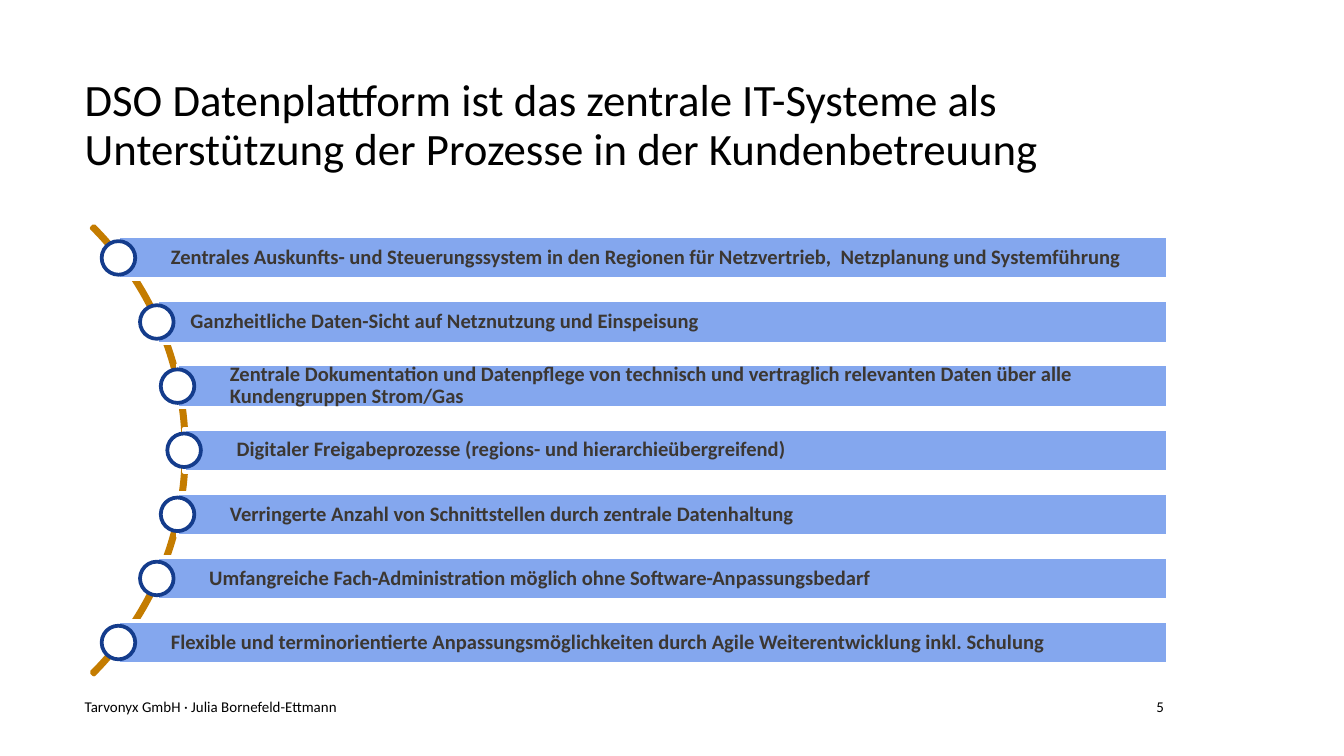
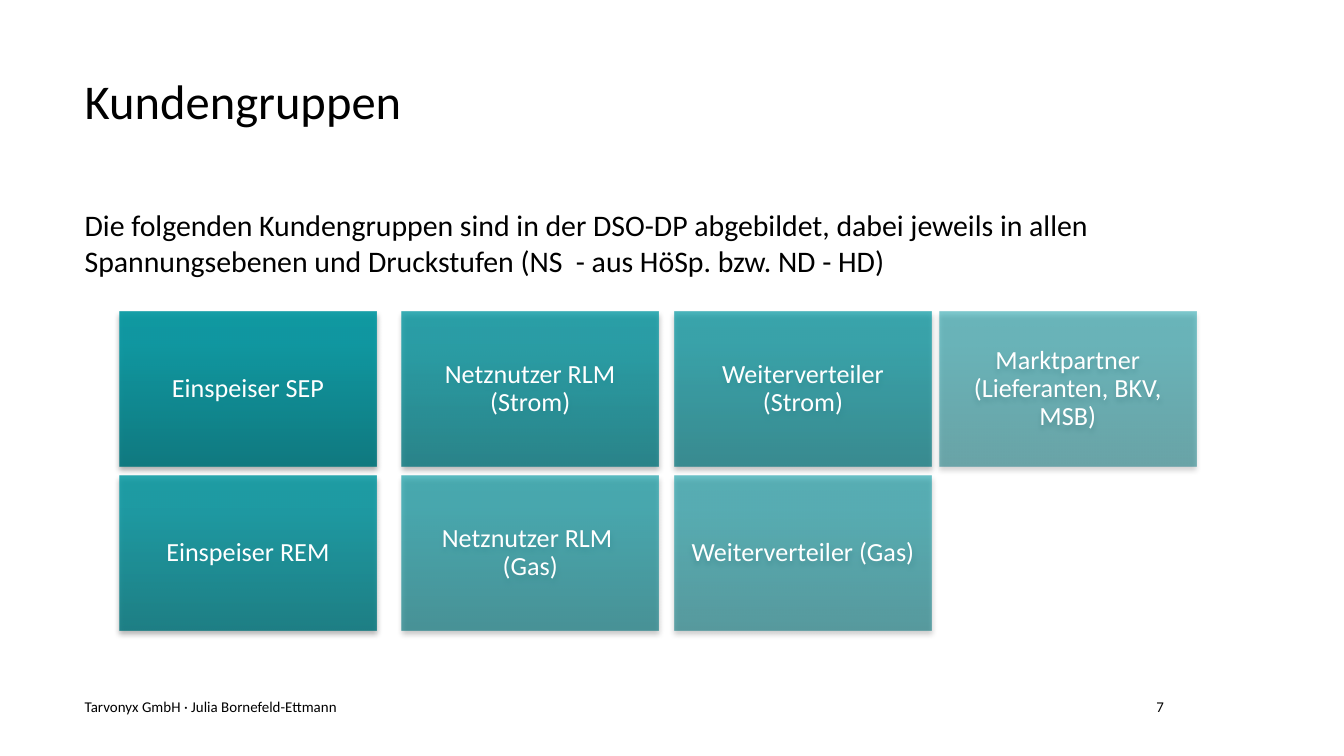
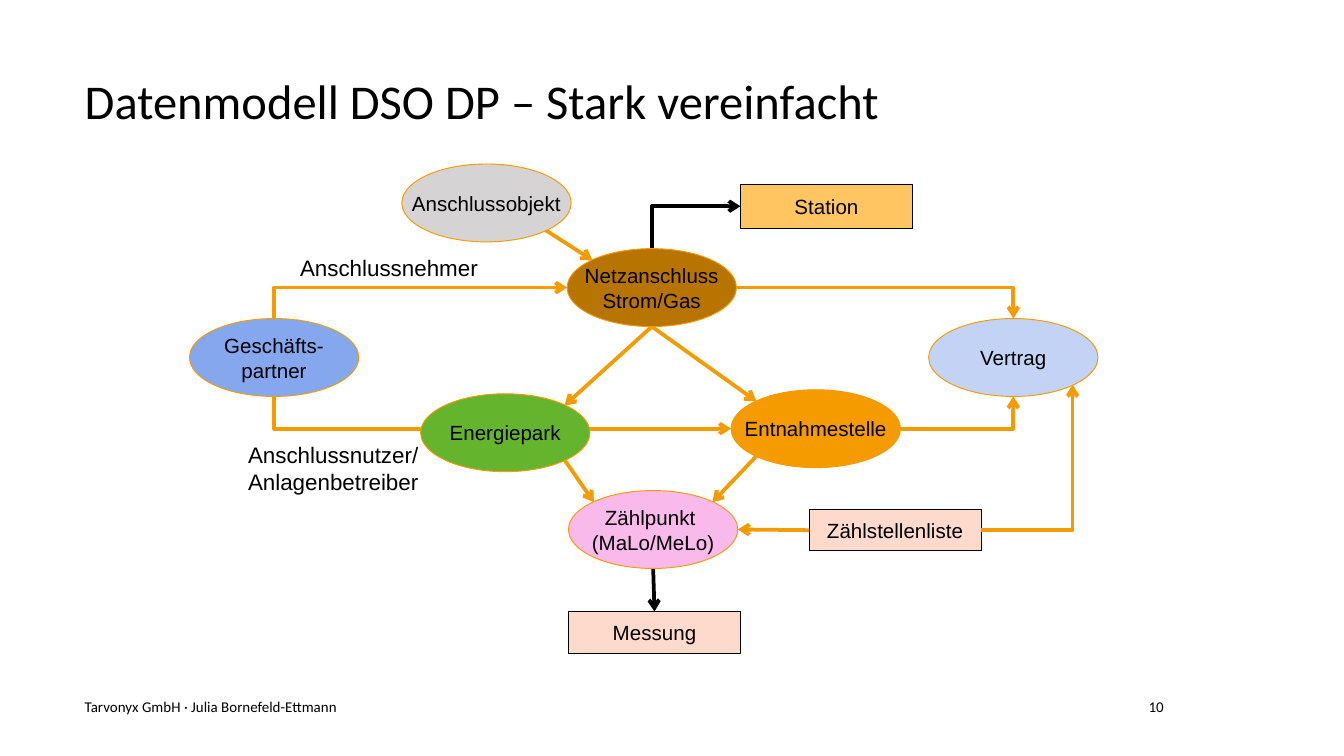
import math

from lxml import etree
from pptx import Presentation
from pptx import util as u
from pptx.dml import color
from pptx.enum import shapes, text
from pptx.oxml import ns

# The grid: 100 columns and 56.25 rows, each a tenth of an inch
COLUMN = ROW = u.Inches(0.1)
COLUMNS, ROWS = 100, 56.25

COLORS = {
    "black": "000000", "white": "FFFFFF", "ink": "3C3732",
    "sky": "84A7EE", "pale": "C2D3F6", "navy": "143C8C",
    "orange": "F59B00", "amber": "FFC560", "bronze": "C47C00", "brown": "B87400",
    "red": "EB4B0A", "peach": "FDDACC", "pink": "F9B9EB", "green": "64B42D",
    "grey": "D5D3D3", "teal_dark": "00747B", "teal": "0096A0", "teal_light": "0097A1",
}
FOOTER = "Tarvonyx GmbH · Julia Bornefeld-Ettmann"
ALIGN, ANCHOR, SHAPE = text.PP_ALIGN, text.MSO_ANCHOR, shapes.MSO_SHAPE

# Where links meet a node, as shares of its width and height
SIDES = {
    "top": (0.5, 0), "left": (0, 0.5), "bottom": (0.5, 1), "right": (1, 0.5),
    "top left": (0.15, 0.15), "top right": (0.85, 0.15),
    "bottom left": (0.15, 0.85), "bottom right": (0.85, 0.85),
}
CONNECTION_SITES = {"top": 0, "left": 1, "bottom": 2, "right": 3}


def rgb(name):
    return color.RGBColor.from_string(COLORS[name])


def add_xml(parent, tag, **attributes):
    return etree.SubElement(parent, ns.qn(tag), attributes)


def write(shape, content, size=11, font="Calibri", ink="black", bold=False,
          align=ALIGN.LEFT, anchor=ANCHOR.TOP, insets=(0, 0, 0, 0), wrap=True,
          spacing=1.0, before=0):
    """Fill a shape with one formatted paragraph; insets are in grid units."""
    frame = shape.text_frame
    frame.word_wrap = wrap
    frame.auto_size = text.MSO_AUTO_SIZE.NONE
    frame.vertical_anchor = anchor
    (frame.margin_left, frame.margin_top,
     frame.margin_right, frame.margin_bottom) = [int(inset * COLUMN) for inset in insets]
    paragraph = frame.paragraphs[0]
    paragraph.text = content
    paragraph.alignment = align
    paragraph.line_spacing = spacing
    paragraph.space_before = u.Pt(before)
    for run in paragraph.runs:
        run.font.name, run.font.size, run.font.bold = font, u.Pt(size), bold
        run.font.color.rgb = rgb(ink)


class Deck:
    """Holds the shared style and the slide being drawn."""

    def __init__(self):
        self.presentation = Presentation()
        self.presentation.slide_width = int(COLUMNS * COLUMN)
        self.presentation.slide_height = int(ROWS * ROW)
        self.slide = None

    @staticmethod
    def place(left, top, width, height):
        return int(left * COLUMN), int(top * ROW), int(width * COLUMN), int(height * ROW)

    def new_slide(self, title, number, size=26, height=3.9):
        self.slide = self.presentation.slides.add_slide(self.presentation.slide_layouts[5])
        shape = self.slide.shapes.title
        shape.left, shape.top, shape.width, shape.height = self.place(6.3, 5.8, 74.8, height)
        write(shape, title, size=size, spacing=0.9)
        self.label((6.3, 51.9, 70.9, 1.3), FOOTER, size=8, anchor=ANCHOR.MIDDLE)
        self.label((80.2, 51.9, 6.4, 1.3), number, size=8, anchor=ANCHOR.MIDDLE,
                   align=ALIGN.RIGHT)

    def label(self, box, content, **style):
        write(self.slide.shapes.add_textbox(*self.place(*box)), content, **style)

    def shape(self, kind, box, fill=None, line=None, weight=2, content=None, **style):
        shape = self.slide.shapes.add_shape(kind, *self.place(*box))
        shape.shadow.inherit = False
        if fill:
            shape.fill.solid()
            shape.fill.fore_color.rgb = rgb(fill)
        if line:
            shape.line.color.rgb = rgb(line)
            shape.line.width = u.Pt(weight)
        else:
            shape.line.fill.background()
        if content:
            write(shape, content, **style)
        return shape

    def tile(self, box, content, opacity):
        """A shaded, partly transparent card with a soft shadow."""
        tile = self.shape(SHAPE.RECTANGLE, box, content=content, size=14, ink="white",
                          align=ALIGN.CENTER, anchor=ANCHOR.MIDDLE, insets=[0.6] * 4,
                          spacing=0.9)
        tile.fill.gradient()
        tile.fill.gradient_angle = 90
        properties = tile._element.spPr
        stops = properties.find(".//" + ns.qn("a:gsLst"))
        for stop in list(stops):
            stops.remove(stop)
        for position, name in ((0, "teal_dark"), (80, "teal"), (100, "teal_light")):
            stop = add_xml(stops, "a:gs", pos=str(position * 1000))
            tint = add_xml(stop, "a:srgbClr", val=COLORS[name])
            add_xml(tint, "a:alpha", val=str(round(opacity * 1000)))
        shadow = add_xml(properties.find(ns.qn("a:effectLst")), "a:outerShdw",
                         blurRad=str(u.Pt(3.1)), dist=str(u.Pt(1.8)), dir="5400000",
                         rotWithShape="0")
        tint = add_xml(shadow, "a:srgbClr", val=COLORS["black"])
        add_xml(tint, "a:alpha", val="35000")

    def arrow(self, start, end, line="orange", elbow=False, arrowhead="a:tailEnd"):
        """An arrow between grid points; an elbow runs across first, then up or down."""
        connector = self.slide.shapes.add_connector(
            shapes.MSO_CONNECTOR.ELBOW if elbow else shapes.MSO_CONNECTOR.STRAIGHT,
            *self.place(*start, *end))
        connector.line.color.rgb = rgb(line)
        connector.line.width = u.Pt(2)
        properties = connector._element.spPr
        if elbow:
            properties.find(ns.qn("a:prstGeom")).set("prst", "bentConnector2")
        add_xml(properties.find(ns.qn("a:ln")), arrowhead, type="arrow")
        add_xml(properties, "a:effectLst")
        return connector


def side_point(box, side):
    left, top, width, height = box
    across, down = SIDES[side]
    return left + across * width, top + down * height


def platform_slide(deck):
    deck.new_slide("DSO Datenplattform ist das zentrale IT-Systeme als Unterstützung "
                   "der Prozesse in der Kundenbetreuung", "5", size=24, height=7.3)
    benefits = [
        "Zentrales Auskunfts- und Steuerungssystem in den Regionen für Netzvertrieb,  "
        "Netzplanung und Systemführung",
        "Ganzheitliche Daten-Sicht auf Netznutzung und Einspeisung",
        "Zentrale Dokumentation und Datenpflege von technisch und vertraglich relevanten "
        "Daten über alle Kundengruppen Strom/Gas",
        "Digitaler Freigabeprozesse (regions- und hierarchieübergreifend)",
        "Verringerte Anzahl von Schnittstellen durch zentrale Datenhaltung",
        "Umfangreiche Fach-Administration möglich ohne Software-Anpassungsbedarf",
        "Flexible und terminorientierte Anpassungsmöglichkeiten durch Agile "
        "Weiterentwicklung inkl. Schulung",
    ]
    # Arc that the bars start from
    arc = deck.shape(SHAPE.BLOCK_ARC, (-33.3, 9.9, 47.2, 47.2), "red", "bronze")
    for index, value in enumerate((189, 27, 0.005)):
        arc.adjustments[index] = value
    center_x, center_y, radius = -9.7, 33.5, 23.4
    pitch, bar_height, bar_right, dot = 4.77, 3.2, 86.9, 2.5
    for index, benefit in enumerate(benefits):
        offset = (index - len(benefits) // 2) * pitch
        left = center_x + math.sqrt(radius ** 2 - offset ** 2)
        middle = center_y + offset
        indent = 2.5 if index == 1 else 3.9
        deck.shape(SHAPE.RECTANGLE,
                   (left, middle - bar_height / 2, bar_right - left, bar_height),
                   "sky", "white", content=benefit, ink="ink", bold=True, spacing=0.9,
                   anchor=ANCHOR.MIDDLE, insets=(indent, 0.3, 0.3, 0.3))
        deck.shape(SHAPE.OVAL, (left - dot / 2, middle - dot / 2, dot, dot), "white", "navy")


def customer_slide(deck):
    deck.new_slide("Kundengruppen", "7")
    deck.label((6.3, 15.4, 81.1, 6),
               "Die folgenden Kundengruppen sind in der DSO-DP abgebildet, dabei jeweils in "
               "allen Spannungsebenen und Druckstufen (NS  - aus HöSp. bzw. ND - HD)",
               size=16, before=3)
    # Tiles fade evenly from the first group to the last
    lefts, tops = (8.9, 29.9, 50.2, 69.9), (23.2, 35.4)
    groups = [
        (0, 0, "Einspeiser SEP"), (0, 1, "Einspeiser REM"),
        (1, 0, "Netznutzer RLM (Strom)"), (2, 0, "Weiterverteiler (Strom)"),
        (1, 1, "Netznutzer RLM \n(Gas)"), (2, 1, "Weiterverteiler (Gas)"),
        (3, 0, "Marktpartner (Lieferanten, BKV, MSB)"),
    ]
    for index, (column, row, name) in enumerate(groups):
        deck.tile((lefts[column], tops[row], 19.1, 11.5), name,
                  90 - 40 * index / (len(groups) - 1))


def model_slide(deck):
    deck.new_slide("Datenmodell DSO DP – Stark vereinfacht", "10")
    style = dict(font="Arial", align=ALIGN.CENTER, anchor=ANCHOR.MIDDLE,
                 insets=(1, 0.5, 1, 0.5), wrap=False)
    deck.shape(SHAPE.RECTANGLE, (17.8, 18.4, 22.3, 3), "white",
               content="Anschlussnehmer", size=12, **style)
    deck.shape(SHAPE.RECTANGLE, (19.7, 32.2, 10.2, 5.2), "white",
               content="Anschlussnutzer/\nAnlagenbetreiber", size=12, **style)

    records = {  # name: left, top, height, fill
        "Station": (55.1, 13.7, 3.3, "amber"),
        "Zählstellenliste": (60.2, 37.9, 3.1, "peach"),
        "Messung": (42.3, 45.5, 3.1, "peach"),
    }
    entities = {  # name: left, top, fill
        "Anschlussobjekt": (29.9, 12.2, "grey"),
        "Netzanschluss\nStrom/Gas": (42.2, 18.5, "brown"),
        "Geschäfts-\npartner": (14.1, 23.7, "sky"),
        "Vertrag": (69.1, 23.7, "pale"),
        "Energiepark": (31.3, 29.3, "green"),
        "Entnahmestelle": (54.4, 29, "orange"),
        "Zählpunkt \n(MaLo/MeLo)": (42.3, 36.5, "pink"),
    }
    boxes = {name: (left, top, 12.8, height)
             for name, (left, top, height, _) in records.items()}
    boxes.update({name: (left, top, 12.6, 5.8)
                  for name, (left, top, _) in entities.items()})
    record_shapes = {
        name: deck.shape(SHAPE.RECTANGLE, boxes[name], fill, "black", 0.5,
                         content=name, **style)
        for name, (*_, fill) in records.items()}

    # Links lie below the entities, so that a line can pass behind one
    grid, partner, meter = "Netzanschluss\nStrom/Gas", "Geschäfts-\npartner", "Zählpunkt \n(MaLo/MeLo)"
    straight_links = [
        ("Anschlussobjekt", "bottom right", grid, "top left", "orange"),
        (grid, "bottom", "Energiepark", "top right", "orange"),
        (grid, "bottom", "Entnahmestelle", "top left", "orange"),
        ("Energiepark", "bottom right", meter, "top left", "orange"),
        ("Entnahmestelle", "bottom left", meter, "top right", "orange"),
        ("Zählstellenliste", "left", meter, "right", "orange"),
        (meter, "bottom", "Messung", "top", "black"),
    ]
    for source, source_side, target, target_side, line in straight_links:
        connector = deck.arrow(side_point(boxes[source], source_side),
                               side_point(boxes[target], target_side), line)
        if source in record_shapes:
            connector.begin_connect(record_shapes[source], CONNECTION_SITES[source_side])
        if target in record_shapes:
            connector.end_connect(record_shapes[target], CONNECTION_SITES[target_side])

    elbow_links = [
        (partner, "top", grid, "left", "orange"),
        (partner, "bottom", "Entnahmestelle", "left", "orange"),
        (grid, "top", "Station", "left", "black"),
        (grid, "right", "Vertrag", "top", "orange"),
        ("Entnahmestelle", "right", "Vertrag", "bottom", "orange"),
        ("Zählstellenliste", "right", "Vertrag", "bottom right", "orange"),
    ]
    for source, source_side, target, target_side, line in elbow_links:
        start = side_point(boxes[source], source_side)
        end = side_point(boxes[target], target_side)
        if source_side == "right":
            deck.arrow(start, end, line, elbow=True)
        else:
            deck.arrow(end, start, line, elbow=True, arrowhead="a:headEnd")

    for name, (*_, fill) in entities.items():
        deck.shape(SHAPE.OVAL, boxes[name], fill, "orange", 0.5, content=name, **style)


def main():
    deck = Deck()
    platform_slide(deck)
    customer_slide(deck)
    model_slide(deck)
    deck.presentation.save("out.pptx")


if __name__ == "__main__":
    main()
